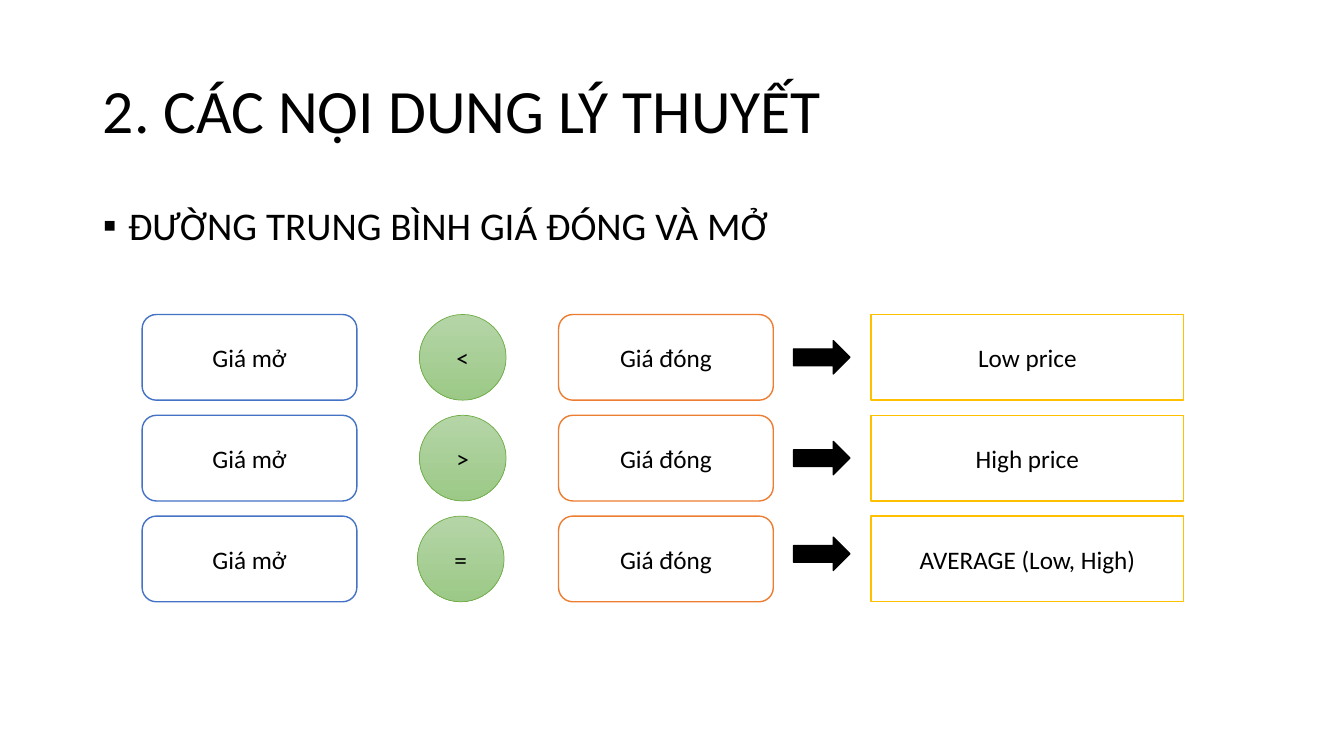
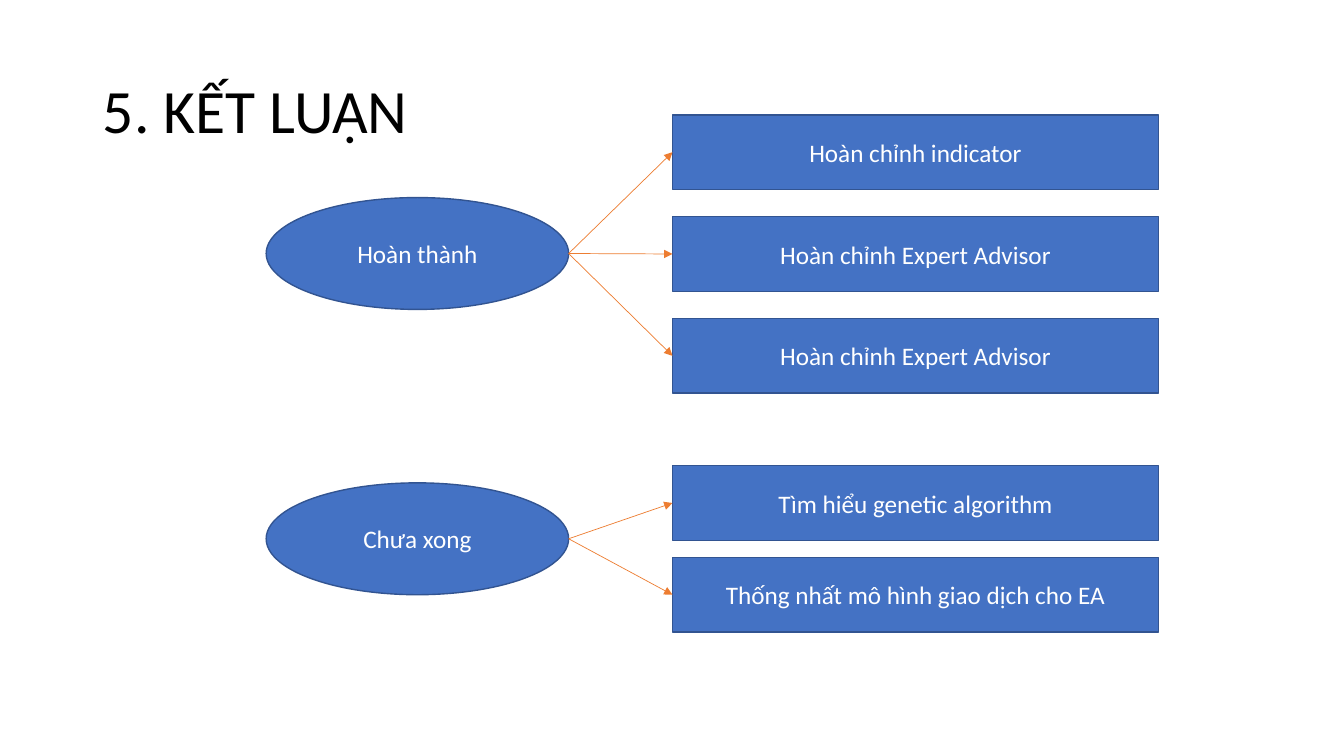
"""Build two slides: the open and close price rules, and the conclusion."""
from dataclasses import dataclass
from typing import Any, Optional

from lxml.etree import SubElement
from pptx import Presentation
from pptx.dml.color import RGBColor
from pptx.enum.shapes import MSO_CONNECTOR, MSO_SHAPE
from pptx.enum.text import MSO_ANCHOR, PP_ALIGN
from pptx.oxml.ns import qn
from pptx.util import Inches, Pt

COLORS = {
    "black": "000000",
    "white": "FFFFFF",
    "blue": "4472C4",
    "navy": "325491",
    "orange": "ED7D31",
    "gold": "FFC000",
    "green": "70AD47",
    "green_top": "B5D5A7",
    "green_bottom": "9CC987",
}
FONT = "Calibri"
TITLE_BOX = (0.92, 0.4, 11.5, 1.45)
BODY_BOX = (0.92, 2, 11.5, 4.76)
LEFT_SIDE = 1


@dataclass(frozen=True)
class ShapeStyle:
    preset: MSO_SHAPE
    width: float
    height: float
    fill: tuple[str, ...]
    line: str
    line_width: float = 1
    text: str = "black"


@dataclass(frozen=True)
class PriceRule:
    sign: str
    result: str
    sign_left: float
    arrow_top: float


@dataclass(frozen=True)
class Topic:
    name: str
    top: float
    items: tuple[str, ...]
    first_item_top: float
    item_pitch: float


OPEN_BOX = ShapeStyle(MSO_SHAPE.FLOWCHART_ALTERNATE_PROCESS, 2.13, 0.85, ("white",), "blue")
CLOSE_BOX = ShapeStyle(MSO_SHAPE.FLOWCHART_ALTERNATE_PROCESS, 2.13, 0.85, ("white",), "orange")
SIGN_CIRCLE = ShapeStyle(MSO_SHAPE.OVAL, 0.86, 0.85, ("green_top", "green_bottom"), "green", 0.5)
RESULT_BOX = ShapeStyle(MSO_SHAPE.RECTANGLE, 3.1, 0.85, ("white",), "gold")
ARROW = ShapeStyle(MSO_SHAPE.RIGHT_ARROW, 0.56, 0.33, ("black",), "black")
TOPIC_OVAL = ShapeStyle(MSO_SHAPE.OVAL, 3, 1.11, ("blue",), "navy", text="white")
ITEM_BOX = ShapeStyle(MSO_SHAPE.RECTANGLE, 4.82, 0.74, ("blue",), "navy", text="white")

RULE_TOP, RULE_PITCH = 3.12, 1
RULES = (
    PriceRule("<", "Low price", 4.16, 3.38),
    PriceRule(">", "High price", 4.16, 4.38),
    PriceRule("=", "AVERAGE (Low, High)", 4.14, 5.33),
)
TOPIC_LEFT, ITEM_LEFT = 2.64, 6.67
TOPICS = (
    Topic(
        "Hoàn thành",
        1.96,
        ("Hoàn chỉnh indicator", "Hoàn chỉnh Expert Advisor", "Hoàn chỉnh Expert Advisor"),
        1.14,
        1.01,
    ),
    Topic(
        "Chưa xong",
        4.79,
        ("Tìm hiểu genetic algorithm", "Thống nhất mô hình giao dịch cho EA"),
        4.62,
        0.91,
    ),
)


def rgb(name: str) -> RGBColor:
    return RGBColor.from_string(COLORS[name])


def apply_format(target: Any, values: dict[str, Any]) -> None:
    for name, value in values.items():
        setattr(target, name, value)


def format_font(paragraph: Any, size: float, color: str) -> None:
    apply_format(paragraph.font, {"name": FONT, "size": Pt(size), "bold": False})
    paragraph.font.color.rgb = rgb(color)


def fill_placeholder(
    placeholder: Any,
    box: tuple[float, ...],
    text: str,
    size: float,
    anchor: MSO_ANCHOR,
    bullet: Optional[str] = None,
) -> None:
    edges = zip(("left", "top", "width", "height"), box)
    apply_format(placeholder, {edge: Inches(value) for edge, value in edges})
    frame = placeholder.text_frame
    apply_format(frame, {"text": text, "vertical_anchor": anchor, "word_wrap": True})
    paragraph = frame.paragraphs[0]
    if bullet:
        properties = paragraph._p.get_or_add_pPr()
        properties.set("marL", str(Inches(0.25)))
        properties.set("indent", str(Inches(-0.25)))
        SubElement(properties, qn("a:buFont")).set("typeface", "Arial")
        SubElement(properties, qn("a:buChar")).set("char", bullet)
    apply_format(
        paragraph,
        {"alignment": PP_ALIGN.LEFT, "line_spacing": 0.9, "space_before": Pt(0)},
    )
    format_font(paragraph, size, "black")


def add_titled_slide(presentation: Any, layout_index: int, title: str) -> Any:
    slide = presentation.slides.add_slide(presentation.slide_layouts[layout_index])
    fill_placeholder(slide.shapes.title, TITLE_BOX, title, 44, MSO_ANCHOR.MIDDLE)
    return slide


def add_styled_shape(slide: Any, style: ShapeStyle, left: float, top: float, text: str = "") -> Any:
    shape = slide.shapes.add_shape(
        style.preset, Inches(left), Inches(top), Inches(style.width), Inches(style.height)
    )
    shape.shadow.inherit = False
    if len(style.fill) > 1:
        shape.fill.gradient()
        shape.fill.gradient_angle = 270
        for stop, color in zip(shape.fill.gradient_stops, style.fill):
            stop.color.rgb = rgb(color)
    else:
        shape.fill.solid()
        shape.fill.fore_color.rgb = rgb(style.fill[0])
    shape.line.color.rgb = rgb(style.line)
    shape.line.width = Pt(style.line_width)
    if text:
        frame = shape.text_frame
        apply_format(
            frame, {"text": text, "vertical_anchor": MSO_ANCHOR.MIDDLE, "word_wrap": True}
        )
        frame.paragraphs[0].alignment = PP_ALIGN.CENTER
        format_font(frame.paragraphs[0], 18, style.text)
    return shape


def add_arrow_to(slide: Any, oval: Any, item: Any) -> None:
    start_x, start_y = oval.left + oval.width, oval.top + oval.height // 2
    connector = slide.shapes.add_connector(
        MSO_CONNECTOR.STRAIGHT, start_x, start_y, item.left, item.top + item.height // 2
    )
    connector.end_connect(item, LEFT_SIDE)
    connector.line.color.rgb = rgb("orange")
    connector.line.width = Pt(0.5)
    SubElement(connector.line._get_or_add_ln(), qn("a:tailEnd")).set("type", "triangle")
    SubElement(connector._element.spPr, qn("a:effectLst"))


def build_theory_slide(presentation: Any) -> None:
    slide = add_titled_slide(presentation, 1, "2. CÁC NỘI DUNG LÝ THUYẾT")
    fill_placeholder(
        slide.placeholders[1],
        BODY_BOX,
        "ĐƯỜNG TRUNG BÌNH GIÁ ĐÓNG VÀ MỞ",
        28,
        MSO_ANCHOR.TOP,
        bullet="▪",
    )
    for index, rule in enumerate(RULES):
        top = RULE_TOP + index * RULE_PITCH
        add_styled_shape(slide, OPEN_BOX, 1.41, top, "Giá mở")
        add_styled_shape(slide, SIGN_CIRCLE, rule.sign_left, top, rule.sign)
        add_styled_shape(slide, CLOSE_BOX, 5.54, top, "Giá đóng")
        add_styled_shape(slide, ARROW, 7.87, rule.arrow_top)
        add_styled_shape(slide, RESULT_BOX, 8.64, top, rule.result)


def build_conclusion_slide(presentation: Any) -> None:
    slide = add_titled_slide(presentation, 5, "5. KẾT LUẬN")
    for topic in TOPICS:
        oval = add_styled_shape(slide, TOPIC_OVAL, TOPIC_LEFT, topic.top, topic.name)
        for index, text in enumerate(topic.items):
            top = topic.first_item_top + index * topic.item_pitch
            item = add_styled_shape(slide, ITEM_BOX, ITEM_LEFT, top, text)
            add_arrow_to(slide, oval, item)


def main() -> None:
    presentation = Presentation()
    apply_format(presentation, {"slide_width": Inches(13.33), "slide_height": Inches(7.5)})
    build_theory_slide(presentation)
    build_conclusion_slide(presentation)
    presentation.save("out.pptx")


if __name__ == "__main__":
    main()
